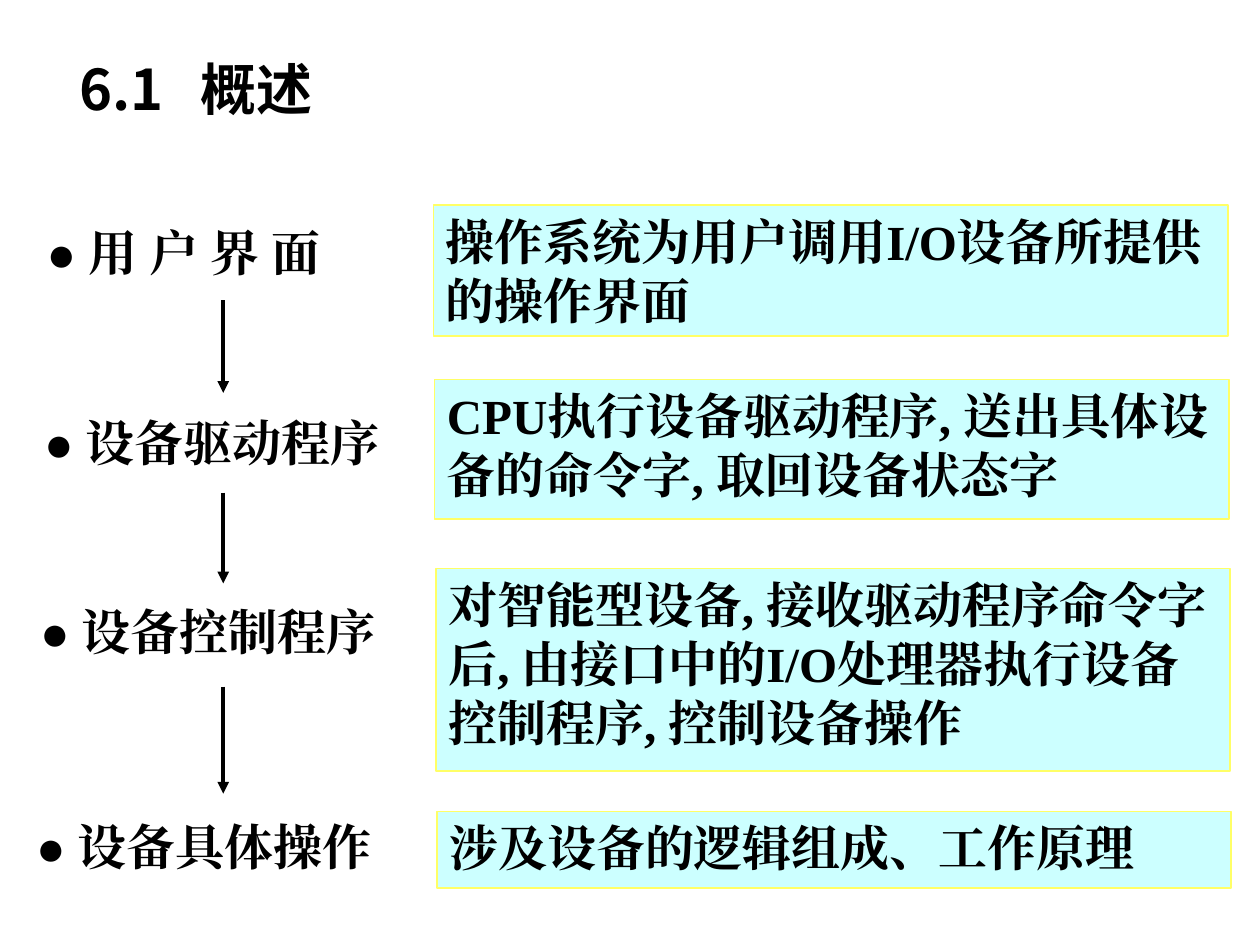
from dataclasses import dataclass

from lxml import etree
from pptx import Presentation
from pptx.dml.color import RGBColor
from pptx.enum.shapes import MSO_CONNECTOR, MSO_SHAPE
from pptx.enum.text import MSO_ANCHOR, PP_ALIGN
from pptx.oxml.ns import qn
from pptx.util import Cm, Pt

RECTANGLE = MSO_SHAPE.RECTANGLE
STRAIGHT = MSO_CONNECTOR.STRAIGHT
LEFT = PP_ALIGN.LEFT
TOP = MSO_ANCHOR.TOP


@dataclass(frozen=True)
class Theme:
    ink: RGBColor = RGBColor(0x00, 0x00, 0x00)
    panel: RGBColor = RGBColor(0xCC, 0xFF, 0xFF)
    border: RGBColor = RGBColor(0xFF, 0xFF, 0x66)
    body_font: str = "Times New Roman"
    title_font: str = "Noto Sans CJK SC"
    body_size: float = 28
    title_size: float = 32
    body_leading: float = 33.6
    title_leading: float = 40
    border_width: float = 1
    arrow_width: float = 2.25


THEME = Theme()
LABEL_HEIGHT = 1.45
PANEL_WIDTH = 16.01
ARROW_X = 4.5

# Label, its left, top and width; explanation, its left, top and height (cm)
LEVELS = [
    ("● 用 户 界 面", (0.69, 4.37, 8.61),
     "操作系统为用户调用I/O设备所提供的操作界面", (8.74, 4.14, 2.64)),
    ("● 设备驱动程序", (0.64, 8.2, 12.17),
     "CPU执行设备驱动程序, 送出具体设备的命令字, 取回设备状态字", (8.76, 7.65, 2.82)),
    ("● 设备控制程序", (0.56, 12.01, 10.24),
     "对智能型设备, 接收驱动程序命令字后, 由接口中的I/O处理器执行设备控制程序, 控制设备操作",
     (8.79, 11.46, 4.09)),
    ("● 设备具体操作", (0.48, 16.33, 10.24),
     "涉及设备的逻辑组成、工作原理", (8.81, 16.36, 1.55)),
]
ARROW_SPANS = [(6.05, 7.92), (9.93, 11.76), (13.84, 16)]


def write(box, text, font, size, leading, tab=None):
    """Fill a box with one bold paragraph, with an optional tab stop in cm."""
    frame = box.text_frame
    frame.word_wrap = True
    frame.vertical_anchor = TOP
    para = frame.paragraphs[0]
    para.alignment = LEFT
    para.line_spacing = Pt(leading)
    if tab:
        stops = etree.SubElement(para._p.get_or_add_pPr(), qn("a:tabLst"))
        etree.SubElement(stops, qn("a:tab"), pos=str(Cm(tab)), algn="l")
    span = para.add_run()
    span.text = text
    span.font.name = font
    span.font.size = Pt(size)
    span.font.bold = True
    span.font.color.rgb = THEME.ink
    etree.SubElement(span._r.get_or_add_rPr(), qn("a:ea"), typeface=font)


def add_title(page, text):
    box = page.shapes.add_textbox(Cm(1.35), Cm(0.91), Cm(9.55), Cm(1.63))
    write(box, text, THEME.title_font, THEME.title_size, THEME.title_leading, tab=2.45)


def add_label(page, text, left, top, width):
    box = page.shapes.add_textbox(Cm(left), Cm(top), Cm(width), Cm(LABEL_HEIGHT))
    write(box, text, THEME.body_font, THEME.body_size, THEME.body_leading)


def add_panel(page, text, left, top, height):
    panel = page.shapes.add_shape(RECTANGLE, Cm(left), Cm(top), Cm(PANEL_WIDTH), Cm(height))
    panel.shadow.inherit = False
    panel.fill.solid()
    panel.fill.fore_color.rgb = THEME.panel
    panel.line.color.rgb = THEME.border
    panel.line.width = Pt(THEME.border_width)
    write(panel, text, THEME.body_font, THEME.body_size, THEME.body_leading)


def add_down_arrow(page, start, end):
    arrow = page.shapes.add_connector(STRAIGHT, Cm(ARROW_X), Cm(start), Cm(ARROW_X), Cm(end))
    arrow.line.color.rgb = THEME.ink
    arrow.line.width = Pt(THEME.arrow_width)
    etree.SubElement(arrow.line._get_or_add_ln(), qn("a:tailEnd"), type="triangle")
    etree.SubElement(arrow._element.spPr, qn("a:effectLst"))


def main():
    deck = Presentation()
    deck.slide_width, deck.slide_height = Cm(25.4), Cm(19.05)
    page = deck.slides.add_slide(deck.slide_layouts[6])
    for label, label_place, explanation, panel_place in LEVELS:
        add_label(page, label, *label_place)
        add_panel(page, explanation, *panel_place)
    for start, end in ARROW_SPANS:
        add_down_arrow(page, start, end)
    add_title(page, "6.1\t概述")
    deck.save("out.pptx")


if __name__ == "__main__":
    main()
